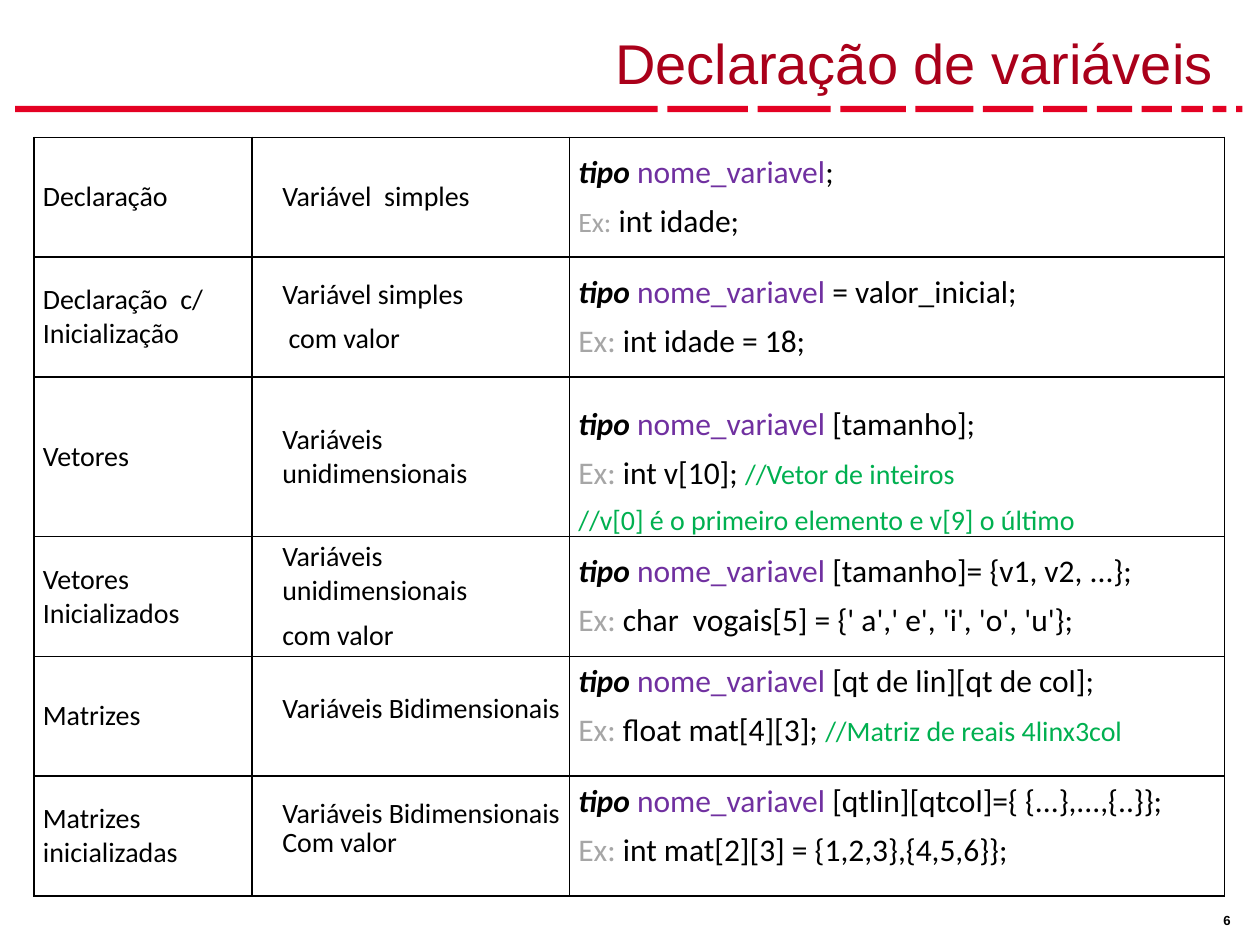
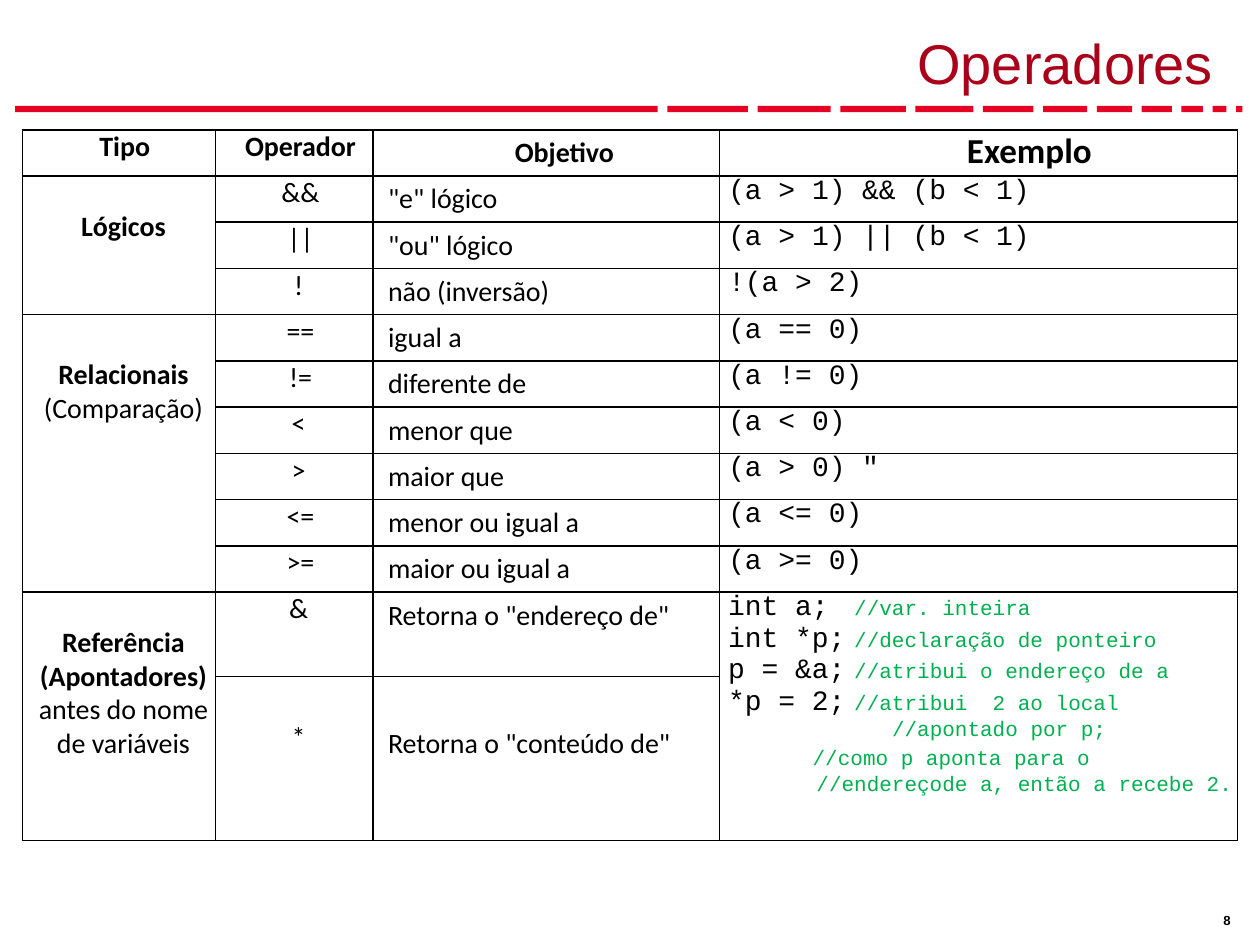
from dataclasses import dataclass, field
from typing import Optional

from lxml import etree
from pptx import Presentation
from pptx.dml.color import RGBColor
from pptx.enum.shapes import MSO_SHAPE
from pptx.enum.text import MSO_ANCHOR, MSO_AUTO_SIZE, PP_ALIGN
from pptx.oxml.ns import qn
from pptx.util import Inches, Pt

RECT = MSO_SHAPE.RECTANGLE
TOP, MID, BASE = MSO_ANCHOR.TOP, MSO_ANCHOR.MIDDLE, MSO_ANCHOR.BOTTOM
LEFT, MIDST, RIGHT = PP_ALIGN.LEFT, PP_ALIGN.CENTER, PP_ALIGN.RIGHT
FIXED = MSO_AUTO_SIZE.NONE


@dataclass(frozen=True)
class Theme:
    band: str = "E40123"
    title: str = "AA001A"
    ink: str = "000000"
    paper: str = "FFFFFF"
    name: str = "7030A0"
    note: str = "00B050"
    faint: str = "A6A6A6"
    head: str = "Arial"
    body: str = "Calibri"
    mono: str = "Courier New"
    huge: float = 32
    big: float = 20
    code: float = 18
    text: float = 16
    small: float = 12
    tiny: float = 7.5


THEME = Theme()


@dataclass
class Run:
    text: str
    style: dict = field(default_factory=dict)


@dataclass
class Para:
    runs: list[Run]
    dent: float = 0.07
    align: PP_ALIGN = LEFT
    ahead: float = 0
    after: float = 0
    line: Optional[float] = None
    tab: Optional[float] = None


@dataclass
class Cell:
    paras: list[Para]
    anchor: MSO_ANCHOR = TOP
    inset: float = 0
    drop: float = 0
    side: float = 0
    rows: int = 1


@dataclass
class Grid:
    left: float
    top: float
    height: float
    cols: list[float]
    rows: list[float]
    cells: list[list[Optional[Cell]]]


def write(para, text: str, *, size: float = THEME.text, font: str = THEME.body,
          color: str = THEME.ink, bold: bool = False, slant: bool = False) -> None:
    run = para.add_run()
    run.text = text
    run.font.size = Pt(size)
    run.font.name = font
    run.font.color.rgb = RGBColor.from_string(color)
    run.font.bold = bold
    run.font.italic = slant


def fill_frame(frame, paras: list[Para]) -> None:
    for i, item in enumerate(paras):
        para = frame.paragraphs[0] if i == 0 else frame.add_paragraph()
        para.alignment = item.align
        para.space_before = Pt(item.ahead)
        para.space_after = Pt(item.after)
        if item.line:
            para.line_spacing = Pt(item.line) if item.line > 2 else item.line
        props = para._p.get_or_add_pPr()
        props.set("marL", str(Inches(item.dent)))
        props.set("indent", "0")
        if item.tab:
            tabs = etree.SubElement(props, qn("a:tabLst"))
            etree.SubElement(tabs, qn("a:tab"), pos=str(Inches(item.tab)), algn="l")
        for run in item.runs:
            write(para, run.text, **run.style)


def edge(cell) -> None:
    props = cell._tc.get_or_add_tcPr()
    for side in ("lnL", "lnR", "lnT", "lnB"):
        line = etree.SubElement(props, qn(f"a:{side}"), w=str(Pt(1)))
        paint = etree.SubElement(line, qn("a:solidFill"))
        etree.SubElement(paint, qn("a:srgbClr"), val=THEME.ink)


def add_grid(slide, grid: Grid) -> None:
    frame = slide.shapes.add_table(
        len(grid.rows), len(grid.cols), Inches(grid.left), Inches(grid.top),
        Inches(sum(grid.cols)), Inches(grid.height))
    table = frame.table
    for col, width in zip(table.columns, grid.cols):
        col.width = Inches(width)
    for row, height in zip(table.rows, grid.rows):
        row.height = Inches(height)
    frame.height = Inches(grid.height)
    for r, line in enumerate(grid.cells):
        for c, item in enumerate(line):
            cell = table.cell(r, c)
            edge(cell)
            cell.fill.solid()
            cell.fill.fore_color.rgb = RGBColor.from_string(THEME.paper)
            if item is None:
                continue
            if item.rows > 1:
                cell.merge(table.cell(r + item.rows - 1, c))
            cell.vertical_anchor = item.anchor
            cell.margin_left = Inches(item.inset + item.side)
            cell.margin_top = Inches(item.inset + item.drop)
            cell.margin_right = cell.margin_bottom = Inches(item.inset)
            fill_frame(cell.text_frame, item.paras)


def add_bands(slide) -> None:
    start, end = 0.12, 9.86
    widths = [5.1, 0.64, 0.58, 0.52, 0.46, 0.4, 0.35, 0.28, 0.24, 0.17, 0.11, 0.05]
    gap = (end - start - sum(widths)) / (len(widths) - 1)
    group = slide.shapes.add_group_shape()
    for width in widths:
        band = group.shapes.add_shape(RECT, Inches(start), Inches(0.84),
                                      Inches(width), Inches(0.05))
        band.shadow.inherit = False
        band.fill.solid()
        band.fill.fore_color.rgb = RGBColor.from_string(THEME.band)
        band.line.fill.background()
        start += width + gap


def add_page(deck, title: str, number: str, grid: Grid) -> None:
    slide = deck.slides.add_slide(deck.slide_layouts[5])
    add_bands(slide)
    box = slide.shapes.add_textbox(Inches(9.63), Inches(7.2), Inches(0.33), Inches(0.2))
    frame = box.text_frame
    frame.word_wrap = True
    frame.margin_left = frame.margin_right = Inches(0.08)
    frame.margin_top = frame.margin_bottom = Inches(0.04)
    write(frame.paragraphs[0], number, size=THEME.tiny, font=THEME.head, bold=True)
    add_grid(slide, grid)
    head = slide.shapes.title
    head.left, head.top = Inches(0.31), Inches(0.08)
    head.width, head.height = Inches(9.42), Inches(0.73)
    frame = head.text_frame
    frame.auto_size = FIXED
    frame.vertical_anchor = BASE
    frame.paragraphs[0].alignment = RIGHT
    write(frame.paragraphs[0], title, size=THEME.huge, font=THEME.head, color=THEME.title)


def label(text: str) -> Cell:
    return Cell([Para([Run(text)], ahead=6)], MID)


def kind(*texts: str, line: Optional[float] = None) -> Cell:
    return Cell([Para([Run(t)], 0.24, ahead=6, line=line) for t in texts], MID)


def code(text: str) -> Run:
    return Run(text, {"size": THEME.code})


def note(text: str, size: float = THEME.text, font: str = THEME.body) -> Run:
    return Run(text, {"size": size, "font": font, "color": THEME.note})


def syntax(rest: str, case: str, remark: str = "", more: str = "", drop: float = 0,
           line: Optional[float] = None, size: float = THEME.code) -> Cell:
    form = [Run("tipo ", {"size": THEME.code, "bold": True, "slant": True}),
            Run("nome_variavel", {"size": THEME.code, "color": THEME.name}), code(rest)]
    sample = [Run("Ex:", {"size": size, "color": THEME.faint}), code(" " + case)]
    if remark:
        sample.append(note(remark))
    paras = [Para(form, ahead=3, after=3, line=line), Para(sample, ahead=3, after=3)]
    if more:
        paras.append(Para([note(more)], ahead=3, after=3))
    return Cell(paras, MID, drop=drop)


def head(text: str, dent: float, inset: float = 0, size: float = THEME.text) -> Cell:
    return Cell([Para([Run(text, {"bold": True, "size": size})], dent, MIDST, 1.6)],
                inset=inset)


def group(bold: str, plain: str, rows: int, drop: float,
          line: Optional[float] = None) -> Cell:
    runs = [Run(bold, {"bold": True})] + ([Run(plain)] if plain else [])
    return Cell([Para(runs, align=MIDST, line=line)], drop=drop, rows=rows)


def sign(text: str, drop: float = 0) -> Cell:
    dent = 0.1 if len(text) > 1 else 0.07
    return Cell([Para([Run(text)], dent, MIDST)], drop=drop)


def goal(text: str, drop: float = 0) -> Cell:
    return Cell([Para([Run(text)])], inset=0.05, drop=drop)


def mono(text: str) -> Run:
    return Run(text, {"font": THEME.mono})


def remark(text: str) -> Run:
    return note(text, THEME.small, THEME.mono)


def pointer() -> Cell:
    pairs = [("int a;", "//var. inteira"), ("int *p;", "//declaração de ponteiro"),
             ("p = &a;", "//atribui o endereço de a"),
             ("*p = 2;", "//atribui  2 ao local")]
    paras = [Para([mono(left + "\t"), remark(right)], 0, tab=1.33) for left, right in pairs]
    tails = [("//apontado por p;", 1.3, 0), ("//como p aponta para o", 0.67, 3.3),
             ("//endereçode a, então a recebe 2.", 0.7, 1.2)]
    paras += [Para([remark(text)], dent, ahead=ahead) for text, dent, ahead in tails]
    return Cell(paras, side=0.07, rows=2)


TIGHT = 10.8
FORMS = [
    [label("Declaração"), kind("Variável  simples"),
     syntax(";", "int idade;", size=THEME.text)],
    [label("Declaração  c/ Inicialização"), kind("Variável simples", " com valor"),
     syntax(" = valor_inicial;", "int idade = 18;")],
    [label("Vetores"), kind("Variáveis unidimensionais"),
     syntax(" [tamanho];", "int v[10]; ", "//Vetor de inteiros",
            "//v[0] é o primeiro elemento e v[9] o último", 0.23)],
    [label("Vetores Inicializados"), kind("Variáveis unidimensionais", "com valor"),
     syntax(" [tamanho]= {v1, v2, ...};", "char  vogais[5] = {' a',' e', 'i', 'o', 'u'};")],
    [label("Matrizes"), kind("Variáveis Bidimensionais", line=TIGHT),
     syntax(" [qt de lin][qt de col];", "float mat[4][3]; ",
            "//Matriz de reais 4linx3col", line=TIGHT)],
    [label("Matrizes inicializadas"),
     kind("Variáveis Bidimensionais", "Com valor", line=TIGHT),
     syntax(" [qtlin][qtcol]={ {...},...,{..}};", "int mat[2][3] = {1,2,3},{4,5,6}};",
            line=TIGHT)],
]

SIGNS = [
    ("&&", '"e" lógico', "(a > 1) && (b < 1)"),
    ("||", '"ou" lógico', "(a > 1) || (b < 1)"),
    ("!", "não (inversão)", "!(a > 2)"),
    ("==", "igual a", "(a == 0)"),
    ("!=", "diferente de", "(a != 0)"),
    ("<", "menor que", "(a < 0)"),
    (">", "maior que", '(a > 0) "'),
    ("<=", "menor ou igual a", "(a <= 0)"),
    (">=", "maior ou igual a", "(a >= 0)"),
]
GROUPS = {0: group("Lógicos", "", 3, 0.27),
          3: group("Relacionais ", "(Comparação)", 6, 0.34)}
SIGN_ROWS = [[head("Tipo", 0.09), head("Operador", 0.1), head("Objetivo", 0.29, 0.05),
              head("Exemplo", 0.81, size=THEME.big)]]
SIGN_ROWS += [[GROUPS.get(i), sign(mark), goal(aim), Cell([Para([mono(sample)])])]
              for i, (mark, aim, sample) in enumerate(SIGNS)]
SIGN_ROWS += [
    [group("Referência (Apontadores) ", "antes do nome de variáveis", 2, 0.27, 0.98),
     sign("&"), goal('Retorna o "endereço de"'), pointer()],
    [None, sign("*", 0.35), goal('Retorna o "conteúdo de"', 0.35), None],
]


def main() -> None:
    deck = Presentation()
    deck.slide_width, deck.slide_height = Inches(10), Inches(7.5)
    add_page(deck, "Declaração de variáveis", "6",
             Grid(0.27, 1.09, 6.04, [1.73, 2.52, 5.2],
                  [0.95, 0.95, 1.27, 0.95, 0.95, 0.95], FORMS))
    add_page(deck, "Operadores", "8",
             Grid(0.18, 1.03, 5.63, [1.53, 1.25, 2.75, 4.11],
                  [0.33] * 10 + [0.67, 1.3], SIGN_ROWS))
    deck.save("out.pptx")


main()
